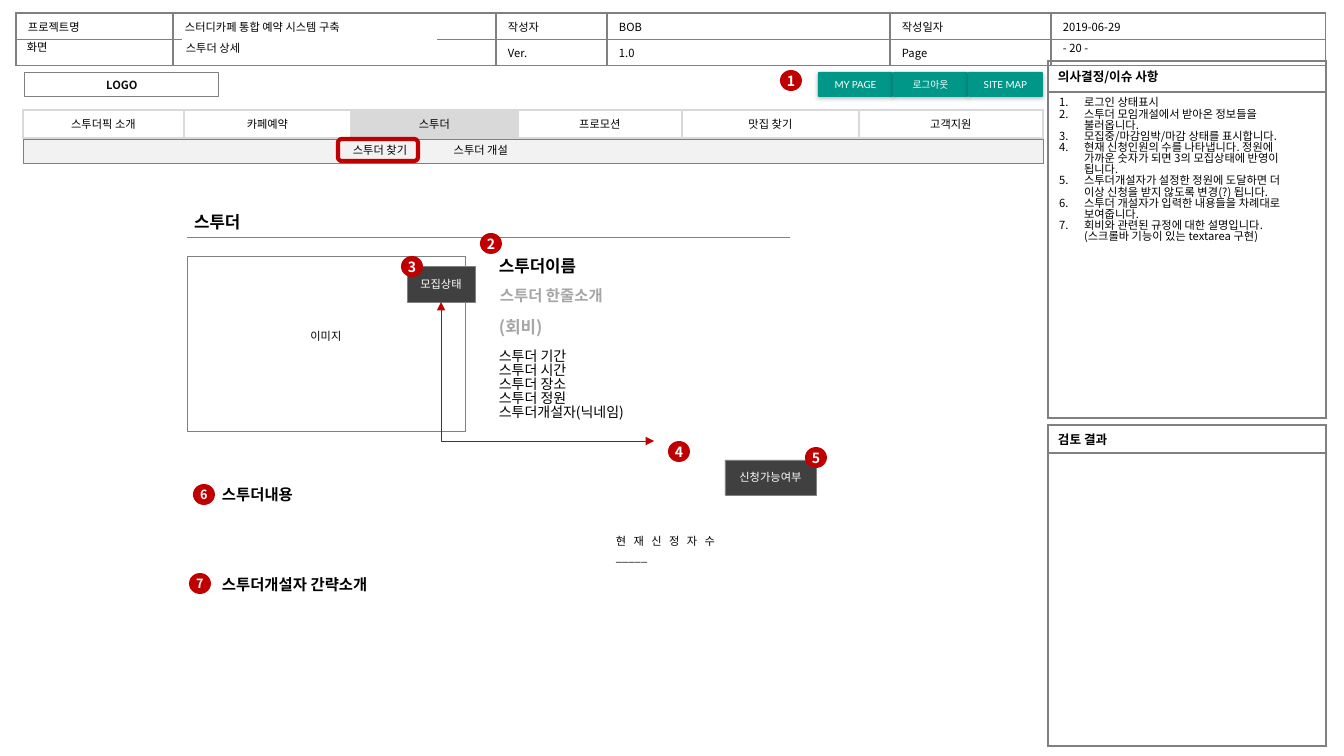
from lxml.etree import SubElement
from pptx import Presentation
from pptx.dml.color import RGBColor
from pptx.enum.shapes import MSO_CONNECTOR as LINK, MSO_SHAPE as FORM
from pptx.enum.text import MSO_ANCHOR as ANCHOR, MSO_AUTO_SIZE as AUTO, PP_ALIGN as ALIGN
from pptx.oxml.ns import qn
from pptx.util import Emu, Pt

FONT = "Noto Sans CJK KR"
BLACK, WHITE, GRAY, RED, DARK = "000000", "FFFFFF", "808080", "C00000", "404040"
PALE, TEAL, SOFT = "D9D9D9", "009688", "A6A6A6"
TIGHT = 0.83


def px(num):
    return Emu(round(num * 914400 / 100.8))


def rgb(code):
    return RGBColor.from_string(code)


def node(parent, tag, **attrs):
    return SubElement(parent, qn(tag), attrs)


def paint(fill, code):
    if code:
        fill.solid()
        fill.fore_color.rgb = rgb(code)
    else:
        fill.background()


class Page:
    """Holds the slide and draws each kind of element in one style."""

    def __init__(self, slide):
        self.slide = slide
        self.shapes = slide.shapes

    def run(self, para, text, size=8, color=BLACK, bold=False, font=FONT):
        run = para.add_run()
        run.text = text
        run.font.size, run.font.bold, run.font.name = Pt(size), bold, font
        run.font.color.rgb = rgb(color)
        node(run._r.rPr, "a:ea", typeface=FONT)

    def lines(self, frame, texts, align=ALIGN.LEFT, gap=None, **style):
        for i, text in enumerate(texts):
            para = frame.paragraphs[0] if i == 0 else frame.add_paragraph()
            para.alignment = align
            para.space_before = Pt(0)
            if gap:
                para.line_spacing = gap
            self.run(para, text, **style)

    def text(self, x, y, w, h, *texts, anchor=ANCHOR.TOP, wrap=True, **style):
        frame = self.shapes.add_textbox(px(x), px(y), px(w), px(h)).text_frame
        frame.word_wrap = wrap
        frame.vertical_anchor = anchor
        self.lines(frame, texts, **style)

    def place(self, holder, x, y, w, h):
        """Moves a placeholder and returns its text frame."""
        holder.left, holder.top, holder.width, holder.height = map(px, (x, y, w, h))
        frame = holder.text_frame
        frame.word_wrap = True
        frame.auto_size = AUTO.NONE
        frame.vertical_anchor = ANCHOR.TOP
        return frame

    def title(self, text, *box):
        frame = self.place(self.shapes.title, *box)
        self.lines(frame, [text], size=12, bold=True)

    def items(self, texts, *box):
        frame = self.place(self.slide.placeholders[1], *box)
        self.lines(frame, texts, gap=TIGHT)
        for para in frame.paragraphs:
            props = para._p.get_or_add_pPr()
            props.set("marL", str(px(25)))
            props.set("indent", str(-px(25)))
            node(props, "a:buFont", typeface="+mj-lt")
            node(props, "a:buAutoNum", type="arabicPeriod")

    def shape(self, form, x, y, w, h, fill=None, line=None, width=0.25,
              text="", pad=5, foot=5, **style):
        shape = self.shapes.add_shape(form, px(x), px(y), px(w), px(h))
        shape.shadow.inherit = False
        paint(shape.fill, fill)
        paint(shape.line.fill, line)
        if line:
            shape.line.width = Pt(width)
        if text:
            frame = shape.text_frame
            frame.margin_left = frame.margin_right = frame.margin_top = px(pad)
            frame.margin_bottom = px(foot)
            frame.vertical_anchor = ANCHOR.MIDDLE
            self.lines(frame, [text], ALIGN.CENTER, **style)
        return shape

    def badge(self, num, x, y, size=10):
        self.shape(FORM.OVAL, x, y, 22, 21, RED, text=str(num), pad=0, foot=0,
                   size=size, color=WHITE, bold=True)

    def button(self, text, x):
        shape = self.shape(FORM.ROUNDED_RECTANGLE, x, 72, 75, 25, TEAL, text=text,
                           size=7, color=WHITE, font="Lato")
        shape.adjustments[0] = 0.05
        glow = node(shape._element.spPr.find(qn("a:effectLst")), "a:outerShdw",
                    blurRad=str(Pt(3)), dist=str(Pt(1)), dir="5400000", rotWithShape="0")
        node(node(glow, "a:srgbClr", val=BLACK), "a:alpha", val="25000")

    def line(self, kind, x1, y1, x2, y2, color):
        link = self.shapes.add_connector(kind, px(x1), px(y1), px(x2), px(y2))
        link.line.color.rgb = rgb(color)
        link.line.width = Pt(0.5)
        node(link._element.spPr, "a:effectLst")
        return link

    def elbow(self, x1, y1, x2, y2):
        """Two-headed arrow that goes down, then right."""
        midx, midy = (x1 + x2) / 2, (y1 + y2) / 2
        dx, dy = (y2 - y1) / 2, (x2 - x1) / 2
        link = self.line(LINK.ELBOW, midx - dx, midy - dy, midx + dx, midy + dy, RED)
        props = link._element.spPr
        props.find(qn("a:xfrm")).set("rot", "16200000")
        props.find(qn("a:xfrm")).set("flipH", "1")
        props.find(qn("a:prstGeom")).set("prst", "bentConnector2")
        for end in ("a:headEnd", "a:tailEnd"):
            node(props.find(qn("a:ln")), end, type="triangle")

    def table(self, x, y, cols, tall, cells, edge=GRAY, fills=(), pad=10, right=10,
              anchor=ANCHOR.TOP, space=None, **style):
        table = self.shapes.add_table(len(tall), len(cols), px(x), px(y),
                                      px(sum(cols)), px(sum(tall))).table
        table.first_row = table.horz_banding = False
        for col, size in zip(table.columns, cols):
            col.width = px(size)
        for row, size, texts in zip(table.rows, tall, cells):
            row.height = px(size)
            for i, (cell, text) in enumerate(zip(row.cells, texts)):
                cell.margin_left, cell.margin_right = px(pad), px(right)
                cell.margin_top = cell.margin_bottom = px(5)
                cell.vertical_anchor = anchor
                self.edges(cell, edge)
                paint(cell.fill, fills[i] if fills else None)
                if text:
                    self.lines(cell.text_frame, text.split("\n"), **style)
                else:
                    node(cell.text_frame.paragraphs[0]._p, "a:endParaRPr", sz="800")
        if space:
            run = table.cell(0, 0).text_frame.paragraphs[0].runs[0]
            run._r.rPr.set("spc", str(space))

    def edges(self, cell, color):
        for side in "LRTB":
            line = node(cell._tc.get_or_add_tcPr(), "a:ln" + side, w=str(Pt(1)))
            if color:
                node(node(line, "a:solidFill"), "a:srgbClr", val=color)
            else:
                node(line, "a:noFill")


def main():
    deck = Presentation()
    deck.slide_width, deck.slide_height = px(1344), px(756)
    page = Page(deck.slides.add_slide(deck.slide_layouts[1]))

    page.table(16, 13, [157, 323, 111, 283, 161, 275], [26, 26], [
        ["프로젝트명", "스터디카페 통합 예약 시스템 구축", "작성자", "BOB", "작성일자", "2019-06-29"],
        ["", "", "Ver.", "1.0", "Page", ""]], pad=12)
    page.shape(FORM.RECTANGLE, 183, 38, 253, 20, WHITE, WHITE, 1)
    for text, x, y in (("화면", 17, 35), ("스투더 상세", 176, 36), ("- 20 -", 1053, 36)):
        page.text(x, y, 108, 24, text)

    for head, y, tall in (("의사결정/이슈 사항", 61, [31, 326]), ("검토 결과", 425, [28, 293])):
        page.table(1048, y, [278], tall, [[head], [""]], anchor=ANCHOR.MIDDLE,
                   size=9, bold=True)
    page.items([
        "로그인 상태표시",
        "스투더 모임개설에서 받아온 정보들을 불러옵니다.",
        "모집중/마감임박/마감 상태를 표시합니다.",
        "현재 신청인원의 수를 나타냅니다. 정원에 가까운 숫자가 되면 3의 모집상태에 반영이 됩니다.",
        "스투더개설자가 설정한 정원에 도달하면 더 이상 신청을 받지 않도록 변경(?) 됩니다.",
        "스투더 개설자가 입력한 내용들을 차례대로 보여줍니다.",
        "회비와 관련된 규정에 대한 설명입니다.(스크롤바 기능이 있는 textarea 구현)",
    ], 1049, 93, 264, 297)

    page.shape(FORM.RECTANGLE, 25, 73, 194, 24, None, GRAY, 0.75, "LOGO",
               color="0D0D0D", bold=True)
    for i, text in enumerate(("MY PAGE", "로그아웃", "SITE MAP")):
        page.button(text, 818 + 75 * i)
    page.table(23, 110, [161, 167, 167, 164, 177, 184], [28],
               [["스투더픽 소개", "카페예약", "스투더", "프로모션", "맛집 찾기", "고객지원"]],
               PALE, [WHITE, WHITE, PALE, WHITE, WHITE, WHITE],
               anchor=ANCHOR.MIDDLE, align=ALIGN.CENTER)
    page.shape(FORM.RECTANGLE, 23, 139, 1020, 24, "F2F2F2", GRAY, 0.5)
    page.text(343, 138, 178, 22, "스투더 찾기\t스투더 개설")
    page.shape(FORM.ROUNDED_RECTANGLE, 338, 139, 80, 22, None, RED, 3)

    page.title("스투더", 184, 207, 144, 30)
    page.line(LINK.STRAIGHT, 187, 237, 790, 237, GRAY)
    page.shape(FORM.RECTANGLE, 187, 256, 278, 175, WHITE, GRAY, text="이미지", foot=19)
    page.shape(FORM.RECTANGLE, 407, 266, 68, 36, DARK, GRAY, text="모집상태", color=WHITE)
    page.shape(FORM.RECTANGLE, 725, 460, 91, 35, DARK, GRAY, text="신청가능여부", color=WHITE)
    for text, x, y, w, size, color in (
            ("스투더이름", 489, 251, 144, 12, BLACK),
            ("스투더 한줄소개", 490, 281, 300, 11, SOFT),
            ("(회비)", 489, 312, 144, 12, SOFT),
            ("스투더내용", 212, 480, 144, 11, BLACK),
            ("스투더개설자 간략소개", 212, 570, 214, 11, BLACK)):
        page.text(x, y, w, 30, text, size=size, color=color, bold=True)
    page.text(489, 335, 328, 101, "스투더 기간", "스투더 시간", "스투더 장소", "스투더 정원",
              "스투더개설자(닉네임)", anchor=ANCHOR.MIDDLE, gap=TIGHT, size=10)
    page.table(606, 527, [118], [43], [["현재신정자수\n_____"]], None, right=0,
               anchor=ANCHOR.MIDDLE, space=530)

    page.elbow(441, 302, 654, 441)
    for i, (x, y) in enumerate(((780, 70), (480, 233), (401, 256), (668, 441), (805, 447)), 1):
        page.badge(i, x, y)
    page.badge(6, 193, 484, 9)
    page.badge(7, 189, 573, 9)
    deck.save("out.pptx")


if __name__ == "__main__":
    main()
